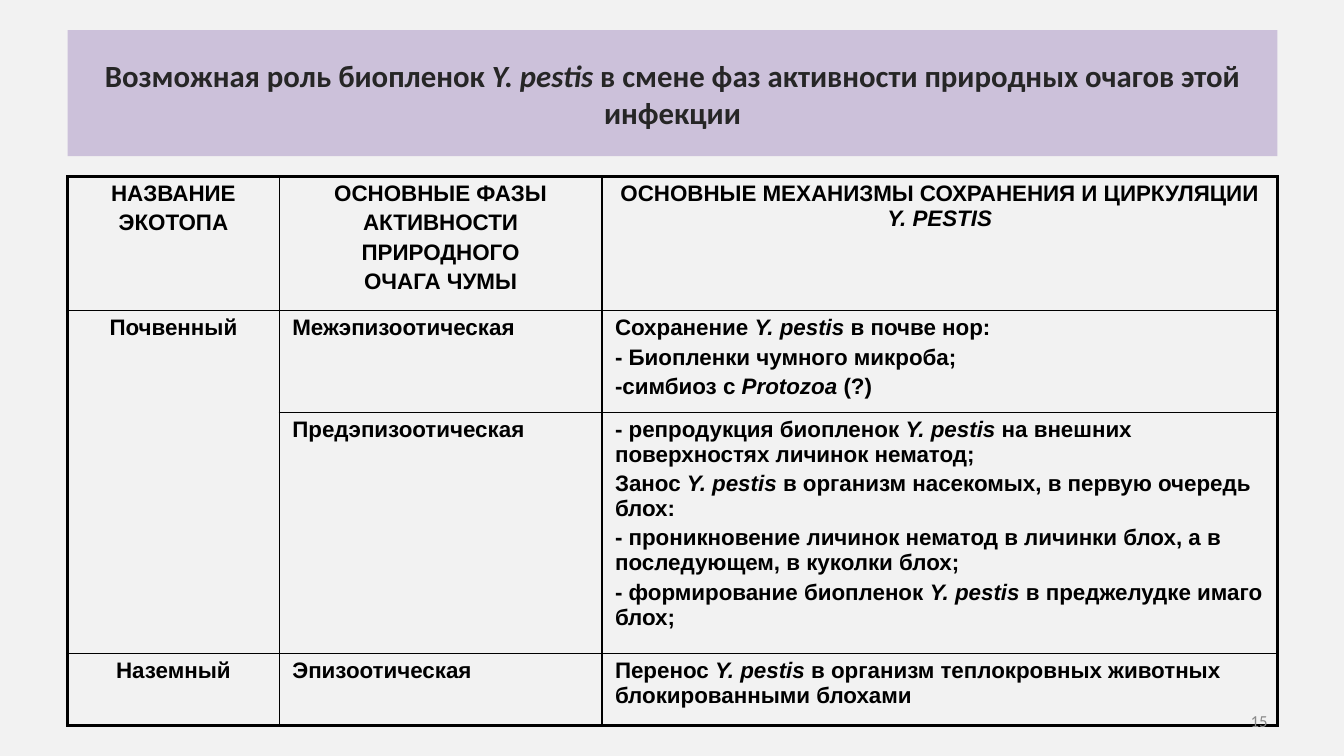
from dataclasses import dataclass

from lxml import etree
from pptx import Presentation
from pptx import util as u
from pptx.dml.color import RGBColor
from pptx.enum import text
from pptx.oxml import ns

SCALE = 9144  # EMU in one px
CENTER, LEFT, RIGHT = text.PP_ALIGN.CENTER, text.PP_ALIGN.LEFT, text.PP_ALIGN.RIGHT


@dataclass(frozen=True)
class Theme:
    back: str = "F2F2F2"
    band: str = "CCC1DA"
    title: tuple = ("Calibri", 22, "262626", True)
    body: tuple = ("Arial", 16, "000000", True)
    page: tuple = ("Calibri", 12, "898989", False)
    line: str = "000000"
    thin: float = 1
    thick: float = 2.25
    gap: float = 3.2


def px(n):
    return u.Emu(n * SCALE)


def put(item, vals):
    for name, val in vals.items():
        setattr(item, name, val)


def place(item, box):
    put(item, dict(zip(("left", "top", "width", "height"), map(px, box))))


class Page:
    def __init__(self, deck, theme):
        self.theme = theme
        self.slide = deck.slides.add_slide(deck.slide_layouts[5])
        self.paint(self.slide.background.fill, theme.back)

    def paint(self, fill, color):
        fill.solid()
        fill.fore_color.rgb = RGBColor.from_string(color)

    def typeset(self, frame, lines, style, align):
        """Add one paragraph per line; text between asterisks is italic."""
        face, size, color, bold = style
        for i, line in enumerate(lines):
            para = frame.add_paragraph() if i else frame.paragraphs[0]
            put(para, {"alignment": align, "space_before": u.Pt(self.theme.gap if i else 0)})
            for j, part in enumerate(line.split("*")):
                if part:
                    run = para.add_run()
                    run.text = part
                    put(run.font, {"name": face, "size": u.Pt(size),
                                   "bold": bold, "italic": j % 2 == 1})
                    run.font.color.rgb = RGBColor.from_string(color)

    def title(self, line, box):
        shape = self.slide.shapes.title
        place(shape, box)
        self.paint(shape.fill, self.theme.band)
        put(shape.text_frame, {"word_wrap": True, "auto_size": text.MSO_AUTO_SIZE.NONE,
                               "vertical_anchor": text.MSO_ANCHOR.MIDDLE})
        self.typeset(shape.text_frame, [line], self.theme.title, CENTER)

    def label(self, line, box, align):
        frame = self.slide.shapes.add_textbox(*map(px, box)).text_frame
        put(frame, {"word_wrap": True, "vertical_anchor": text.MSO_ANCHOR.MIDDLE})
        self.typeset(frame, [line], self.theme.page, align)

    def edge(self, cell, side, width):
        props = cell._tc.get_or_add_tcPr()
        line = etree.SubElement(props, ns.qn("a:ln" + side), w=str(u.Pt(width)))
        fill = etree.SubElement(line, ns.qn("a:solidFill"))
        etree.SubElement(fill, ns.qn("a:srgbClr"), val=self.theme.line)

    def table(self, rows, spot, wides, highs, merge):
        size = (sum(wides), sum(highs))
        shape = self.slide.shapes.add_table(len(highs), len(wides), *map(px, spot + size))
        table = shape.table
        put(table, {"first_row": False, "horz_banding": False})
        for col, wide in zip(table.columns, wides):
            col.width = px(wide)
        for row, high in zip(table.rows, highs):
            row.height = px(high)
        for r, row in enumerate(rows):
            for c, lines in enumerate(row):
                cell = table.cell(r, c)
                put(cell, {"margin_left": px(13), "margin_right": px(13),
                           "margin_top": px(5), "margin_bottom": px(5)})
                outer = {"L": c == 0, "R": c == len(wides) - 1,
                         "T": r == 0, "B": r == len(highs) - 1}
                for side, out in outer.items():
                    self.edge(cell, side, self.theme.thick if out else self.theme.thin)
                cell.fill.background()
                align = CENTER if r == 0 or c == 0 else LEFT
                self.typeset(cell.text_frame, lines, self.theme.body, align)
        start, end = merge
        table.cell(*start).merge(table.cell(*end))


ROWS = [
    [["НАЗВАНИЕ", "ЭКОТОПА"],
     ["ОСНОВНЫЕ ФАЗЫ", "АКТИВНОСТИ", "ПРИРОДНОГО", "ОЧАГА ЧУМЫ"],
     ["ОСНОВНЫЕ МЕХАНИЗМЫ СОХРАНЕНИЯ И ЦИРКУЛЯЦИИ *Y. PESTIS*"]],
    [["Почвенный"],
     ["Межэпизоотическая"],
     ["Сохранение *Y. pestis* в почве нор:",
      "- Биопленки чумного микроба;",
      "-симбиоз с *Protozoa* (?)"]],
    [[],
     ["Предэпизоотическая"],
     ["- репродукция биопленок *Y. pestis* на внешних поверхностях личинок нематод;",
      "Занос *Y. pestis* в организм насекомых, в первую очередь блох:",
      "- проникновение личинок нематод в личинки блох, а в последующем, в куколки блох;",
      "- формирование биопленок *Y. pestis* в преджелудке имаго блох;"]],
    [["Наземный"],
     ["Эпизоотическая"],
     ["Перенос *Y. pestis* в организм теплокровных животных блокированными блохами"]],
]


def main():
    deck = Presentation()
    put(deck, {"slide_width": px(1333), "slide_height": px(750)})
    page = Page(deck, Theme())
    page.title("Возможная роль биопленок *Y. pestis* в смене фаз активности "
               "природных очагов этой инфекции", (67, 30, 1200, 125))
    page.table(ROWS, (67, 175), (210, 320, 670), (133, 101, 239, 72),
               merge=((1, 0), (2, 0)))
    page.label("15", (956, 695, 311, 40), RIGHT)
    deck.save("out.pptx")


if __name__ == "__main__":
    main()
